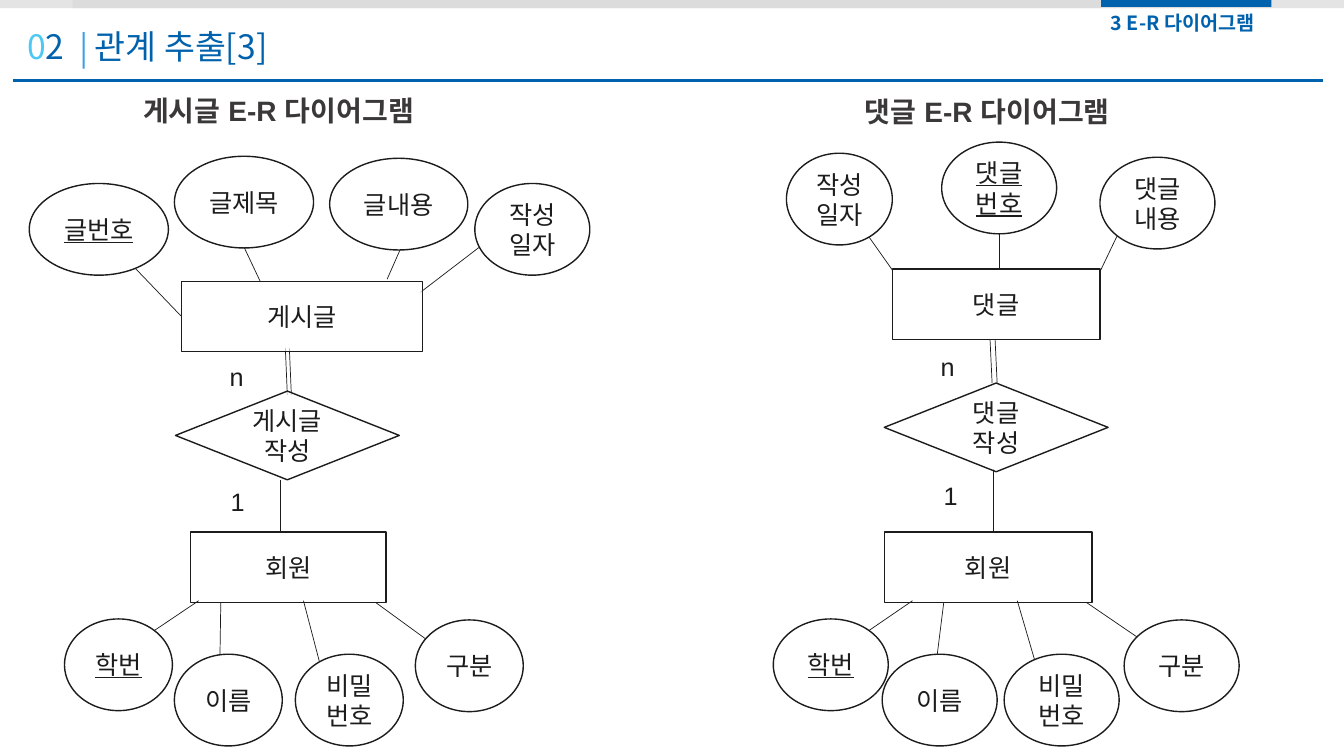
from lxml import etree
from pptx import Presentation
from pptx.dml.color import RGBColor
from pptx.enum.shapes import MSO_CONNECTOR, MSO_SHAPE
from pptx.enum.text import MSO_ANCHOR, MSO_AUTO_SIZE, PP_ALIGN
from pptx.oxml.ns import qn
from pptx.util import Inches, Pt

STRAIGHT = MSO_CONNECTOR.STRAIGHT
RECTANGLE, OVAL, DIAMOND = MSO_SHAPE.RECTANGLE, MSO_SHAPE.OVAL, MSO_SHAPE.DIAMOND
MIDDLE, FIXED = MSO_ANCHOR.MIDDLE, MSO_AUTO_SIZE.NONE
LEFT, CENTER = PP_ALIGN.LEFT, PP_ALIGN.CENTER
LEFT_SIDE = 1

INK, WHITE, NAVY, SKY = "1D1C1C", "FFFFFF", "0062AC", "4CC8F4"
BLUE, GRAY, CHARCOAL = "0083E6", "D9D9D9", "3A3838"
KOREAN = "Noto Sans CJK KR"
TITLE = {"size": Pt(24), "name": KOREAN}
SECTION = {"size": Pt(14), "name": KOREAN, "bold": True}
HEADING = {"size": Pt(20), "name": "Arial", "bold": True}
LABEL = {"size": Pt(18), "name": "Arial"}
KEY = {**LABEL, "underline": True}

MEMBER_NAMES = (("학번", KEY), ("이름", LABEL), ("비밀번호", LABEL), ("구분", LABEL))
MEMBER_ROWS = (61.4, 64.9, 64.9, 61.5)
MEMBER_LINE_ROWS = ((59.6, 63.5), (59.8, 66.2), (59.6, 66.1), (59.8, 64.1))
OVAL_ROWS = 9.1

DIAGRAMS = (
    {
        "heading": ("게시글 E-R 다이어그램", 13.2, 8.7, 30.8),
        "links": ((49.4, 23.1, 41.7, 29), (25.8, 27.9, 24.2, 24.5),
                  (40.6, 22.7, 38.4, 27.7), (27.8, 47.6, 27.8, 54.9),
                  (28.3, 34.5, 28.5, 39.2), (28.7, 34.5, 28.9, 39.2)),
        "entity": ("게시글", 18, 27.9, 23.9, 70),
        "side_link": (13.4, 26.6, 18, 31.4),
        "attributes": (("글번호", 2.9, 18.2, 13.8, KEY), ("글제목", 17.3, 15.5, 13.8, LABEL),
                       ("글내용", 32.7, 15.7, 13.7, LABEL), ("작성일자", 47.1, 18.2, 11.4, LABEL)),
        "relation": (["게시글작성"], 17.4, 38.8),
        "counts": (("n", 21.8, 35.3), ("1", 21.9, 47.7)),
        "member": (18.9, 19.4),
        "member_columns": (6.4, 17.3, 29.3, 41.2),
        "member_width": 10.7,
        "member_links": ((19.7, 13.9), (21.9, 21.8), (30.1, 31.8), (37.3, 43.2)),
    },
    {
        "heading": ("댓글 E-R 다이어그램", 84.8, 8.8, 28),
        "links": ((85.9, 23.1, 91.2, 30.6), (99.1, 22.9, 99.1, 30.2),
                  (110.8, 23.4, 108.5, 28.2), (98.5, 46.5, 98.5, 53.7),
                  (98.1, 31.7, 98.4, 38), (98.6, 31.7, 98.9, 38)),
        "entity": ("댓글", 88.5, 26.7, 20.6, 100),
        "side_link": None,
        "attributes": (("댓글번호", 93.4, 14.1, 11.4, KEY), ("댓글내용", 109.1, 15.6, 11.4, LABEL),
                       ("작성일자", 78, 15.2, 10.5, LABEL)),
        "relation": (["댓글", "작성"], 87.7, 38),
        "counts": (("n", 92.3, 34.4), ("1", 92.6, 47.2)),
        "member": (87.7, 20.6),
        "member_columns": (76.7, 87.5, 99.6, 111.5),
        "member_width": 11.4,
        "member_links": ((90.5, 84.8), (93.6, 92.8), (100.9, 102.8), (107.8, 114.1)),
    },
)


class DiagramPage:
    """Draws styled elements on one slide, on a grid of 133.3 columns by 75 rows."""

    def __init__(self, deck):
        self.column = deck.slide_width / 133.3
        self.row = deck.slide_height / 75
        self.page = deck.slides.add_slide(deck.slide_layouts[5])

    def grid(self, *lengths):
        units = (self.column, self.row) * 2
        return [round(length * unit) for length, unit in zip(lengths, units)]

    def paint(self, color_format, color, opacity=100):
        color_format.rgb = RGBColor.from_string(color)
        if opacity < 100:
            shade = color_format._xFill[0]
            etree.SubElement(shade, qn("a:alpha"), val=str(opacity * 1000))

    def span(self, para, text, look, color):
        span = para.add_run()
        span.text = text
        for name, value in look.items():
            setattr(span.font, name, value)
        self.paint(span.font.color, color)
        etree.SubElement(span._r.get_or_add_rPr(), qn("a:ea"), typeface=look["name"])

    def label(self, box, lines, look, color, alignment):
        frame = box.text_frame
        settings = {"word_wrap": True, "auto_size": FIXED, "vertical_anchor": MIDDLE}
        for name, value in settings.items():
            setattr(frame, name, value)
        for index, line in enumerate(lines):
            para = frame.add_paragraph() if index else frame.paragraphs[0]
            para.alignment = alignment
            self.span(para, line, look, color)
        return frame.paragraphs[0]

    def title(self, place, number, text, tab_columns):
        box = self.page.shapes.title
        for name, value in zip(("left", "top", "width", "height"), self.grid(*place)):
            setattr(box, name, value)
        para = self.label(box, [number], TITLE, SKY, LEFT)
        self.span(para, text, TITLE, NAVY)
        tabs = etree.SubElement(para._p.get_or_add_pPr(), qn("a:tabLst"))
        etree.SubElement(tabs, qn("a:tab"), pos=str(self.grid(tab_columns)[0]), algn="l")

    def text(self, place, text, look=LABEL, color=INK):
        box = self.page.shapes.add_textbox(*self.grid(*place))
        self.label(box, [text], look, color, LEFT)

    def shape(self, kind, place, fill=WHITE, opacity=100, outline=None):
        box = self.page.shapes.add_shape(kind, *self.grid(*place))
        box.shadow.inherit = False
        box.fill.solid()
        self.paint(box.fill.fore_color, fill, opacity)
        if outline:
            self.paint(box.line.color, outline)
            box.line.width = Pt(1)
        else:
            box.line.fill.background()
        return box

    def node(self, kind, place, lines, look=LABEL, opacity=100):
        box = self.shape(kind, place, opacity=opacity, outline=INK)
        self.label(box, lines, look, INK, CENTER)
        return box

    def line(self, ends, color=INK, width=0.5, opacity=100, target=None):
        line = self.page.shapes.add_connector(STRAIGHT, *self.grid(*ends))
        line.line.width = Pt(width)
        self.paint(line.line.color, color, opacity)
        etree.SubElement(line._element.spPr, qn("a:effectLst"))
        if target:
            line.end_connect(target, LEFT_SIDE)

    def diagram(self, parts):
        for ends in parts["links"]:
            self.line(ends)
        name, left, top, width, opacity = parts["entity"]
        entity = self.node(RECTANGLE, (left, top, width, 7), [name], opacity=opacity)
        if parts["side_link"]:
            self.line(parts["side_link"], target=entity)
        for name, left, top, width, look in parts["attributes"]:
            self.node(OVAL, (left, top, width, OVAL_ROWS), [name], look)
        lines, left, top = parts["relation"]
        self.node(DIAMOND, (left, top, 22.2, 8.8), lines, opacity=70)
        for count, left, top in parts["counts"]:
            self.text((left, top, 3.9, 4), count)
        heading, left, top, width = parts["heading"]
        self.text((left, top, width, 4.4), heading, HEADING, CHARCOAL)
        self.members(parts)

    def members(self, parts):
        left, width = parts["member"]
        self.node(RECTANGLE, (left, 52.8, width, 7), ["회원"])
        rows = zip(MEMBER_NAMES, parts["member_columns"], MEMBER_ROWS,
                   parts["member_links"], MEMBER_LINE_ROWS)
        for (name, look), column, row, (start, end), (upper, lower) in rows:
            self.line((start, upper, end, lower))
            self.node(OVAL, (column, row, parts["member_width"], OVAL_ROWS), [name], look)


def main():
    deck = Presentation()
    deck.slide_width, deck.slide_height = Inches(13.33), Inches(7.5)
    page = DiagramPage(deck)
    page.title((1.7, 2.1, 70.5, 5), "0", "2\t관계 추출[3]", 6.7)
    page.line((8.3, 3.2, 8.3, 6.8), BLUE, 1.5, 78)
    page.line((1.3, 8, 131.2, 8), NAVY, 2.25)
    for left in (7.2, 0):
        page.shape(RECTANGLE, (left, 0, 126.1, 0.8), GRAY, 70)
    page.shape(RECTANGLE, (109.2, 0, 16.9, 0.7), NAVY)
    page.text((109.2, 0.6, 17.3, 3.4), "3 E-R 다이어그램", SECTION, NAVY)
    for parts in DIAGRAMS:
        page.diagram(parts)
    deck.save("out.pptx")


if __name__ == "__main__":
    main()
